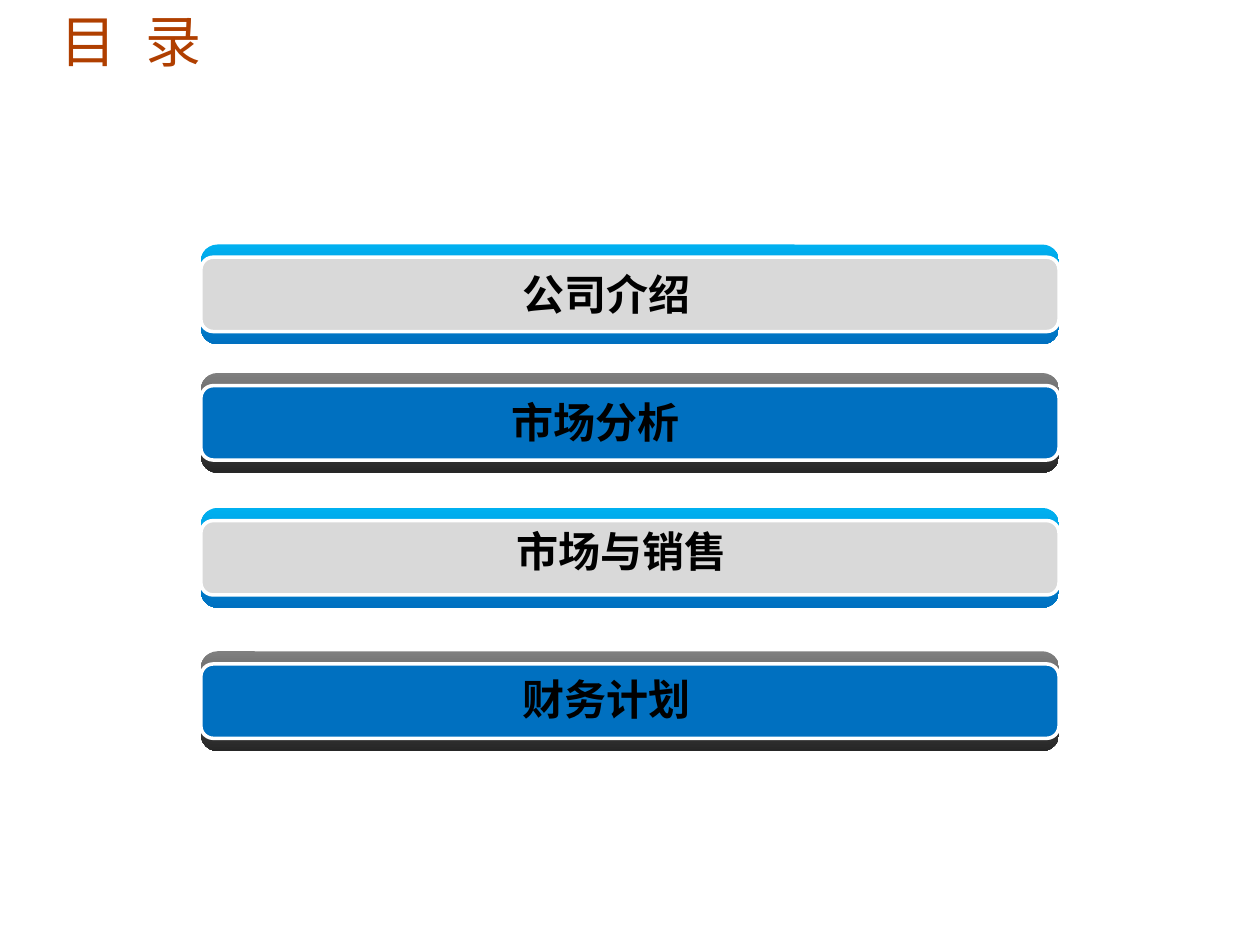
from lxml.etree import SubElement
from pptx import Presentation
from pptx.dml.color import RGBColor
from pptx.enum.shapes import MSO_SHAPE
from pptx.enum.text import MSO_ANCHOR, MSO_AUTO_SIZE, PP_ALIGN
from pptx.oxml.ns import qn
from pptx.util import Cm, Pt

TITLE = "目 录"
# label, bar top, label centre, label top, label width
ITEMS = [
    ("公司介绍", 4.93, 12.22, 5.28, 8.64),
    ("市场分析", 7.52, 12.01, 7.87, 8.64),
    ("市场与销售", 10.24, 12.52, 10.46, 7.62),
    ("财务计划", 13.13, 12.22, 13.46, 8.64),
]
COLORS = {"title": "B03F00", "text": "000000", "edge": "FFFFFF"}
STYLES = [
    {"top": "00B0F0", "base": "0070C0", "face": "D9D9D9"},
    {"top": "7F7F7F", "base": "262626", "face": "0070C0"},
]
LEFT, WIDTH, BACK, FACE = 4.05, 17.3, 2.01, 1.5
FONT = "Noto Sans CJK SC"


def rgb(code):
    return RGBColor.from_string(code)


def add_round(group, top, height):
    shape = group.shapes.add_shape(
        MSO_SHAPE.ROUNDED_RECTANGLE, Cm(LEFT), Cm(top), Cm(WIDTH), Cm(height))
    shape.adjustments[0] = 0.167
    shape.shadow.inherit = False
    return shape


def add_bar(slide, top, style):
    group = slide.shapes.add_group_shape()
    back = add_round(group, top, BACK)
    back.fill.gradient()
    back.fill.gradient_angle = 270
    for stop, key, place in zip(back.fill.gradient_stops, ("top", "base"), (0, 1)):
        stop.color.rgb = rgb(style[key])
        stop.position = place
    back.line.fill.background()
    face = add_round(group, top + (BACK - FACE) / 2, FACE)
    face.fill.solid()
    face.fill.fore_color.rgb = rgb(style["face"])
    face.line.color.rgb = rgb(COLORS["edge"])
    face.line.width = Pt(2)


def add_label(slide, label, mid, top, width):
    box = slide.shapes.add_textbox(Cm(mid - width / 2), Cm(top), Cm(width), Cm(1.27))
    frame = box.text_frame
    frame.word_wrap = True
    frame.text = label
    para = frame.paragraphs[0]
    para.alignment = PP_ALIGN.CENTER
    run = para.runs[0]
    run.font.size, run.font.bold, run.font.name = Pt(24), True, FONT
    run.font.color.rgb = rgb(COLORS["text"])
    SubElement(run.font._element, qn("a:ea"), typeface=FONT)


def add_title(slide):
    title = slide.shapes.title
    title.left, title.top, title.width, title.height = Cm(0.97), Cm(0), Cm(3.4), Cm(1.63)
    frame = title.text_frame
    frame.text = TITLE
    frame.word_wrap = False
    frame.auto_size = MSO_AUTO_SIZE.NONE
    frame.vertical_anchor = MSO_ANCHOR.TOP
    para = frame.paragraphs[0]
    para.alignment = PP_ALIGN.LEFT
    font = para.runs[0].font
    font.size, font.name = Pt(32), "Arial"
    font.color.rgb = rgb(COLORS["title"])
    font._element.set("spc", "450")


def main():
    """Build the contents slide with four striped bars."""
    deck = Presentation()
    deck.slide_width, deck.slide_height = Cm(25.4), Cm(19.05)
    slide = deck.slides.add_slide(deck.slide_layouts[5])
    add_title(slide)
    for i, (label, top, mid, line, width) in enumerate(ITEMS):
        add_bar(slide, top, STYLES[i % 2])
        add_label(slide, label, mid, line, width)
    deck.save("out.pptx")


if __name__ == "__main__":
    main()
